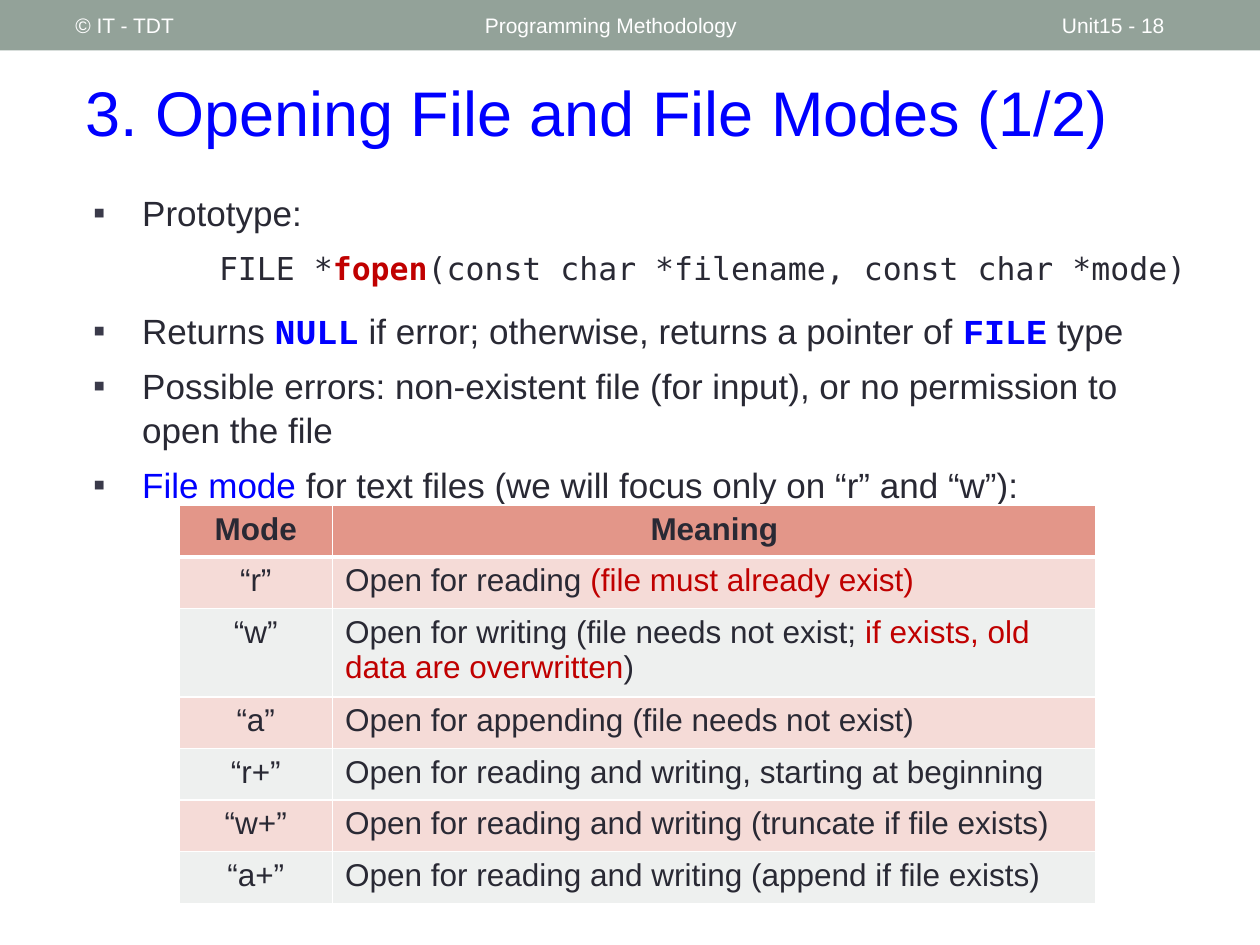
from lxml import etree
from pptx import Presentation
from pptx.dml.color import RGBColor
from pptx.enum.shapes import MSO_SHAPE
from pptx.enum.text import MSO_ANCHOR, PP_ALIGN
from pptx.oxml.ns import qn
from pptx.util import Inches, Pt

RECTANGLE = MSO_SHAPE.RECTANGLE
MIDDLE = MSO_ANCHOR.MIDDLE
CENTER, LEFT = PP_ALIGN.CENTER, PP_ALIGN.LEFT
INK, BLUE, RED, WHITE = "292934", "0000FF", "C00000", "FFFFFF"
MONO, COURIER = "DejaVu Sans Mono", "Courier New"


def color(hex_string):
    return RGBColor.from_string(hex_string)


def write(paragraph, text, size=18, ink=INK, font="Arial", bold=False):
    run = paragraph.add_run()
    run.text = text
    run.font.size = Pt(size)
    run.font.name = font
    run.font.bold = bold
    run.font.color.rgb = color(ink)


presentation = Presentation()
presentation.slide_width, presentation.slide_height = Inches(10), Inches(7.5)
slide = presentation.slides.add_slide(presentation.slide_layouts[6])

# Header band
band = slide.shapes.add_shape(RECTANGLE, 0, 0, Inches(10), Inches(0.4))
band.shadow.inherit = False
band.fill.solid()
band.fill.fore_color.rgb = color("93A299")
band.line.fill.background()

# Header labels and title: text, left, top, width, height, size, color
for text, left, top, width, height, size, ink in [
    ("© IT - TDT", 0.5, 0.02, 3.17, 0.36, 12, WHITE),
    ("Programming Methodology", 3.75, 0.02, 4.5, 0.36, 12, WHITE),
    ("Unit15 - 18", 8.33, 0.02, 1.17, 0.36, 12, WHITE),
    ("3. Opening File and File Modes (1/2)", 0.58, 0.42, 9.17, 0.92, 36, BLUE),
]:
    box = slide.shapes.add_textbox(Inches(left), Inches(top), Inches(width), Inches(height))
    box.text_frame.word_wrap = True
    box.text_frame.vertical_anchor = MIDDLE
    write(box.text_frame.paragraphs[0], text, size=size, ink=ink)

# Body: space before, bulleted, runs
keyword = {"font": COURIER, "ink": BLUE, "bold": True}
code = {"font": MONO, "size": 18}
body_paragraphs = [
    (0, True, [("Prototype:", {})]),
    (8, False, [
        ("FILE *", code),
        ("fopen", {**code, "ink": RED, "bold": True}),
        ("(const char *filename, const char *mode)", code),
    ]),
    (12, True, [
        ("Returns ", {}),
        ("NULL", keyword),
        (" if error; otherwise, returns a pointer of ", {}),
        ("FILE", keyword),
        (" type", {}),
    ]),
    (6, True, [("Possible errors: non-existent file (for input), "
                "or no permission to open the file", {})]),
    (6, True, [
        ("File mode ", {"ink": BLUE}),
        ("for text files (we will focus only on “r” and “w”):", {}),
    ]),
]
body = slide.shapes.add_textbox(Inches(0.64), Inches(1.45), Inches(9), Inches(2.82)).text_frame
body.word_wrap = True
for index, (space, bulleted, runs) in enumerate(body_paragraphs):
    paragraph = body.add_paragraph() if index else body.paragraphs[0]
    paragraph.space_before = Pt(space)
    paragraph.line_spacing = 1.05
    properties = paragraph._p.get_or_add_pPr()
    properties.set("marL", str(Inches(0.39 if bulleted else 1)))
    properties.set("indent", str(Inches(-0.39 if bulleted else 0)))
    if bulleted:
        bullet_color = etree.SubElement(properties, qn("a:buClr"))
        etree.SubElement(bullet_color, qn("a:srgbClr"), val="3A3A4A")
        etree.SubElement(properties, qn("a:buFont"), typeface="Arial")
        etree.SubElement(properties, qn("a:buChar"), char="▪")
    for text, style in runs:
        write(paragraph, text, **{"size": 20, **style})

# Table of file modes
modes = [
    ("Mode", [("Meaning", INK)]),
    ("“r”", [("Open for reading ", INK), ("(file must already exist)", RED)]),
    ("“w”", [("Open for writing (file needs not exist; ", INK),
             ("if exists, old data are overwritten", RED), (")", INK)]),
    ("“a”", [("Open for appending (file needs not exist)", INK)]),
    ("“r+”", [("Open for reading and writing, starting at beginning", INK)]),
    ("“w+”", [("Open for reading and writing (truncate if file exists)", INK)]),
    ("“a+”", [("Open for reading and writing (append if file exists)", INK)]),
]
row_height, two_line_height = 0.41, 0.66
table = slide.shapes.add_table(
    len(modes), 2, Inches(1.42), Inches(4.01), Inches(7.28),
    Inches(row_height * (len(modes) - 1) + two_line_height)).table
table.columns[0].width, table.columns[1].width = Inches(1.22), Inches(6.06)
for row, (mode, meaning) in enumerate(modes):
    table.rows[row].height = Inches(two_line_height if mode == "“w”" else row_height)
    header = row == 0
    fill = "E39689" if header else ("EEF0EF", "F5DBD7")[row % 2]
    for column, runs in enumerate([[(mode, INK)], meaning]):
        cell = table.cell(row, column)
        paragraph = cell.text_frame.paragraphs[0]
        paragraph.alignment = CENTER if header or column == 0 else LEFT
        for text, ink in runs:
            write(paragraph, text, ink=ink, bold=header)
        properties = cell._tc.get_or_add_tcPr()
        for side in ("L", "R", "T", "B"):
            thick = (header and side == "B") or (row == 1 and side == "T")
            border = etree.SubElement(properties, qn(f"a:ln{side}"), w=str(Pt(3 if thick else 1)))
            border_fill = etree.SubElement(border, qn("a:solidFill"))
            etree.SubElement(border_fill, qn("a:srgbClr"), val=WHITE)
        cell.fill.solid()
        cell.fill.fore_color.rgb = color(fill)

presentation.save("out.pptx")
